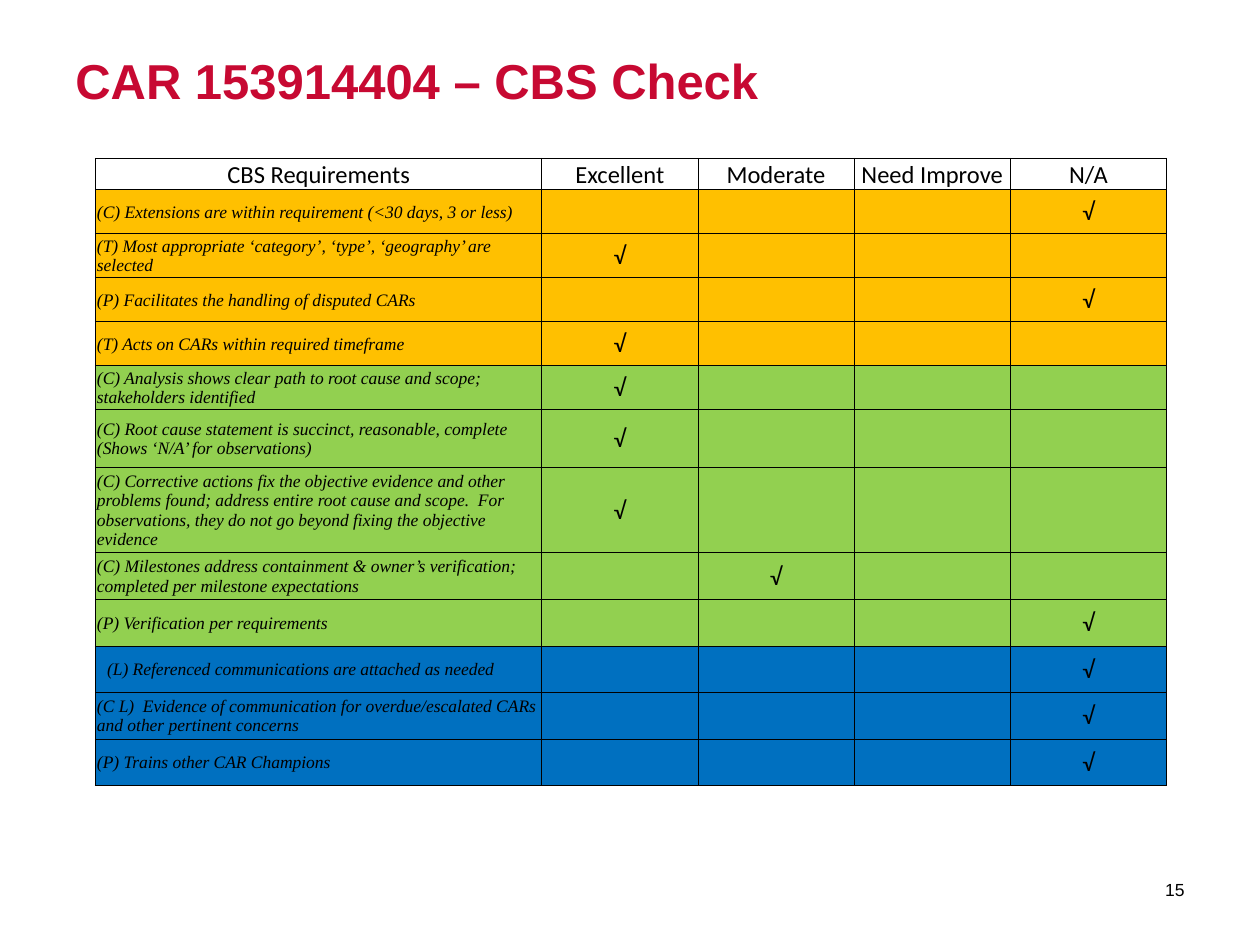
from pptx import Presentation
from pptx.dml.color import RGBColor
from pptx.enum.text import MSO_ANCHOR as Anchor, PP_ALIGN as Align
from pptx.oxml import parse_xml
from pptx.oxml.ns import nsdecls
from pptx.util import Inches, Pt

RED = RGBColor(0xC7, 0x09, 0x32)
BLACK = RGBColor(0, 0, 0)
AMBER = RGBColor(0xFF, 0xC0, 0x00)
GREEN = RGBColor(0x92, 0xD0, 0x50)
BLUE = RGBColor(0x00, 0x70, 0xC0)

HEADINGS = ["CBS Requirements", "Excellent", "Moderate", "Need Improve", "N/A"]
EXCELLENT, MODERATE, NOT_APPLICABLE = 1, 2, 4
COLUMN_WIDTHS = [3.54] + [1.24] * 4
HEADER_HEIGHT = 0.24
REQUIREMENTS = [
    (AMBER, 0.35, NOT_APPLICABLE, "(C) Extensions are within requirement (<30 days, 3 or less)"),
    (AMBER, 0.35, EXCELLENT, "(T) Most appropriate ‘category’, ‘type’, ‘geography’ are selected"),
    (AMBER, 0.35, NOT_APPLICABLE, "(P) Facilitates the handling of disputed CARs"),
    (AMBER, 0.35, EXCELLENT, "(T) Acts on CARs within required timeframe"),
    (GREEN, 0.34, EXCELLENT,
     "(C) Analysis shows clear path to root cause and scope; stakeholders identified"),
    (GREEN, 0.46, EXCELLENT,
     "(C) Root cause statement is succinct, reasonable, complete (Shows ‘N/A’ for observations)"),
    (GREEN, 0.68, EXCELLENT,
     "(C) Corrective actions fix the objective evidence and other problems found; "
     "address entire root cause and scope.  For observations, "
     "they do not go beyond fixing the objective evidence"),
    (GREEN, 0.37, MODERATE,
     "(C) Milestones address containment & owner’s verification; "
     "completed per milestone expectations"),
    (GREEN, 0.37, NOT_APPLICABLE, "(P) Verification per requirements"),
    (BLUE, 0.37, NOT_APPLICABLE, "(L) Referenced communications are attached as needed"),
    (BLUE, 0.37, NOT_APPLICABLE,
     "(C L)  Evidence of communication for overdue/escalated CARs and other pertinent concerns"),
    (BLUE, 0.37, NOT_APPLICABLE, "(P) Trains other CAR Champions"),
]
INDENTED_ROW = 10


class SlideBuilder:
    heading_font = "Arial"
    table_font = "Calibri"
    requirement_font = "Times New Roman"

    def __init__(self, slide):
        self.slide = slide

    def add_text(self, paragraph, text, font, size, color=BLACK, align=Align.LEFT,
                 bold=False, italic=False):
        paragraph.alignment = align
        run = paragraph.add_run()
        run.text = text
        run.font.name = font
        run.font.size = Pt(size)
        run.font.bold = bold
        run.font.italic = italic
        run.font.color.rgb = color

    def text_box(self, left, top, width, height, text, size, anchor=Anchor.TOP, **style):
        box = self.slide.shapes.add_textbox(
            Inches(left), Inches(top), Inches(width), Inches(height))
        frame = box.text_frame
        frame.word_wrap = True
        frame.vertical_anchor = anchor
        self.add_text(frame.paragraphs[0], text, self.heading_font, size, **style)
        return frame

    def table(self, left, top, column_widths, row_heights):
        frame = self.slide.shapes.add_table(
            len(row_heights), len(column_widths), Inches(left), Inches(top),
            Inches(sum(column_widths)), Inches(sum(row_heights)))
        table = frame.table
        table.first_row = False
        table.horz_banding = False
        for column, width in zip(table.columns, column_widths):
            column.width = Inches(width)
        for row, height in zip(table.rows, row_heights):
            row.height = Inches(height)
        return table

    def cell(self, table, row, column, text="", fill=None, **style):
        cell = table.cell(row, column)
        cell.margin_left = cell.margin_right = cell.margin_top = Inches(0.01)
        cell.margin_bottom = 0
        cell.vertical_anchor = Anchor.MIDDLE if row else Anchor.BOTTOM
        if fill is None:
            cell.fill.background()
        else:
            cell.fill.solid()
            cell.fill.fore_color.rgb = fill
        paragraph = cell.text_frame.paragraphs[0]
        if text:
            self.add_text(paragraph, text, **style)
        else:
            paragraph.font.size = Pt(10)
        outer = {
            "L": column == 0,
            "R": column == len(table.columns) - 1,
            "T": row == 0,
            "B": row == len(table.rows) - 1,
        }
        self.borders(cell, outer)
        return cell

    def borders(self, cell, outer):
        properties = cell._tc.get_or_add_tcPr()
        for index, (side, is_outer) in enumerate(outer.items()):
            width = Pt(1 if is_outer else 0.5)
            properties.insert(index, parse_xml(
                f'<a:ln{side} {nsdecls("a")} w="{width}"><a:solidFill>'
                f'<a:srgbClr val="{BLACK}"/></a:solidFill></a:ln{side}>'))

    def checklist(self, left, top):
        heights = [HEADER_HEIGHT] + [height for _, height, _, _ in REQUIREMENTS]
        table = self.table(left, top, COLUMN_WIDTHS, heights)
        centred = dict(font=self.table_font, size=14, align=Align.CENTER)
        for column, heading in enumerate(HEADINGS):
            self.cell(table, 0, column, heading, **centred)
        for row, (fill, _, rating, text) in enumerate(REQUIREMENTS, 1):
            requirement = self.cell(table, row, 0, text, fill,
                                    font=self.requirement_font, size=10, italic=True)
            if row == INDENTED_ROW:
                requirement.margin_left = Inches(0.09)
            for column in range(1, len(HEADINGS)):
                mark = "√" if column == rating else ""
                self.cell(table, row, column, mark, fill, **centred)


def main():
    presentation = Presentation()
    presentation.slide_width = Inches(10)
    presentation.slide_height = Inches(7.5)
    builder = SlideBuilder(presentation.slides.add_slide(presentation.slide_layouts[6]))
    title = builder.text_box(0.5, 0.3, 9, 1.25, "CAR 153914404 – CBS Check", 28,
                             color=RED, bold=True)
    title.margin_top = Inches(0.1)
    builder.text_box(8.8, 6.86, 0.7, 0.4, "15", 10, Anchor.MIDDLE, align=Align.RIGHT)
    builder.checklist(0.76, 1.26)
    presentation.save("out.pptx")


if __name__ == "__main__":
    main()
